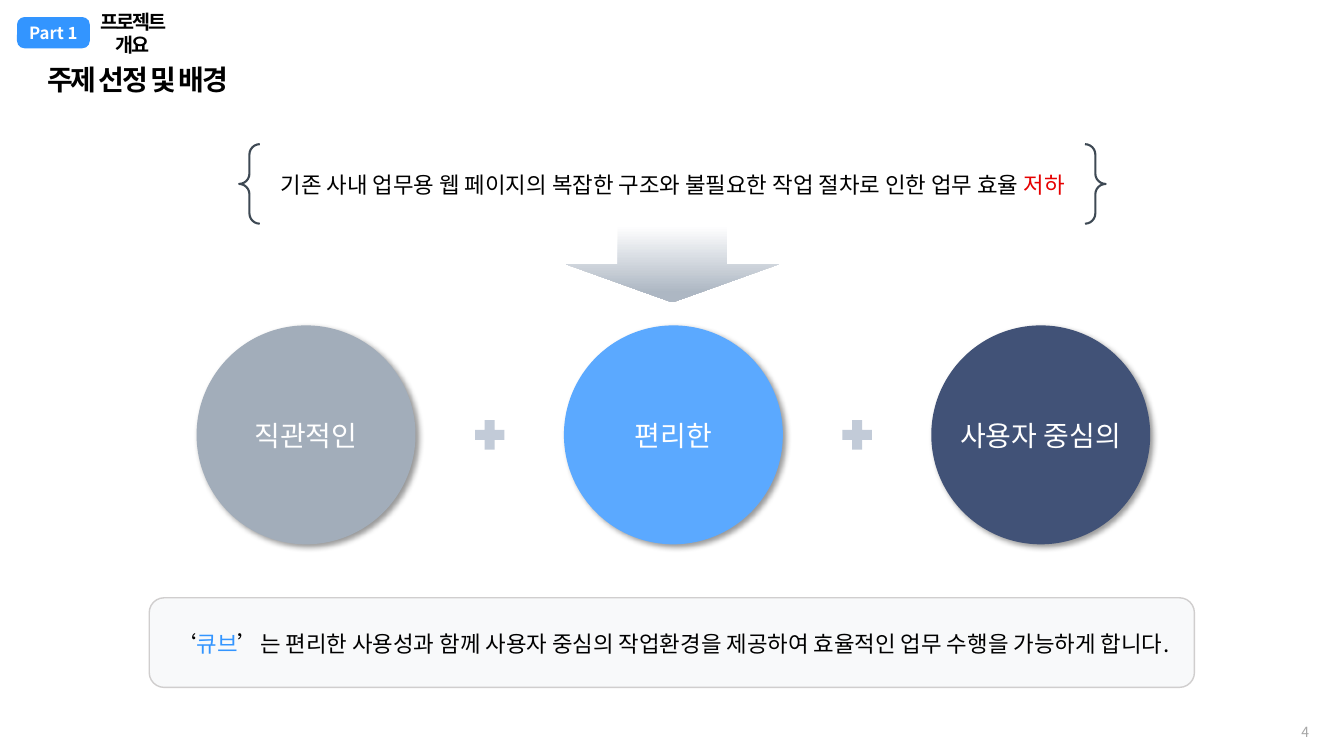
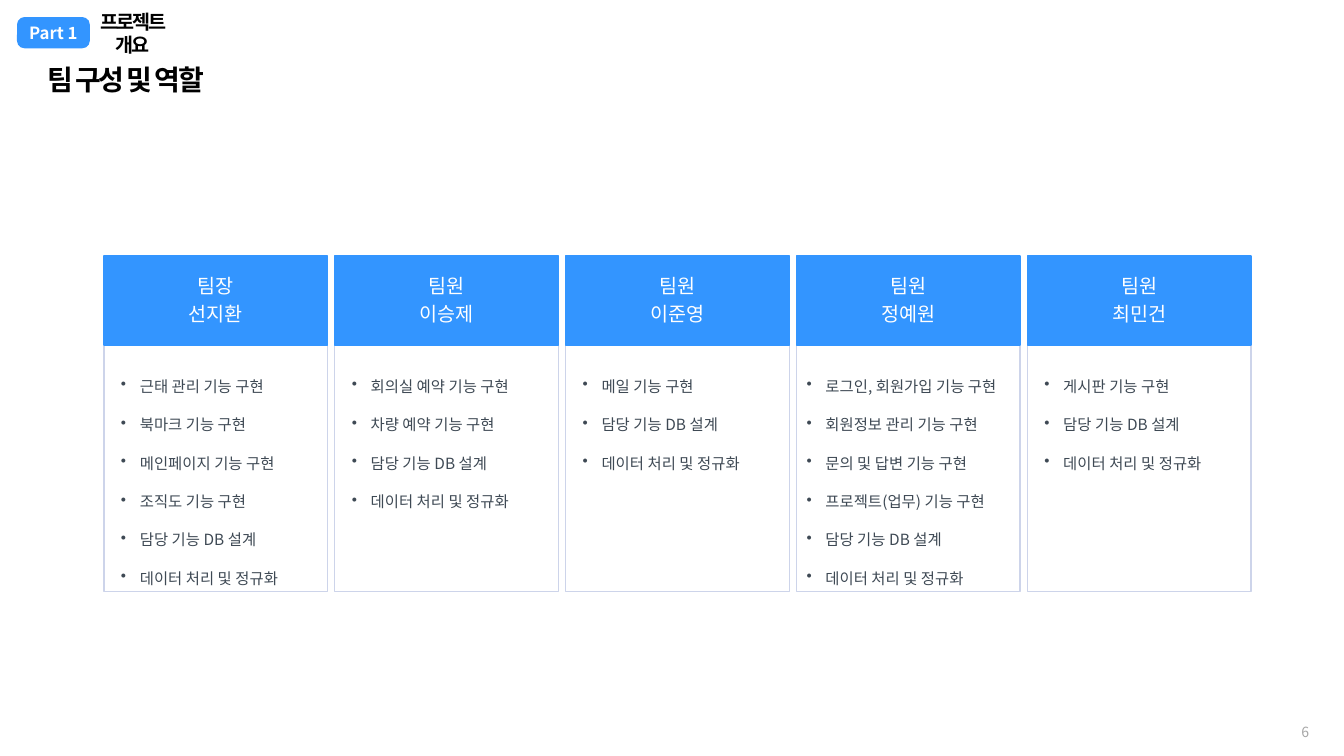
from lxml.etree import SubElement
from pptx import Presentation
from pptx.dml.color import RGBColor
from pptx.enum.shapes import MSO_SHAPE
from pptx.enum.text import MSO_ANCHOR, PP_ALIGN
from pptx.oxml.ns import qn
from pptx.util import Pt

FONT = "Noto Sans CJK KR"
BLACK = RGBColor(0x00, 0x00, 0x00)
WHITE = RGBColor(0xFF, 0xFF, 0xFF)
BLUE = RGBColor(0x33, 0x95, 0xFF)
LIGHT_BLUE = RGBColor(0x5B, 0xA9, 0xFF)
NAVY = RGBColor(0x41, 0x52, 0x77)
GRAY = RGBColor(0xA2, 0xAD, 0xBA)
ARROW_GRAY = RGBColor(0xAD, 0xB7, 0xC3)
PLUS_GRAY = RGBColor(0xC2, 0xCB, 0xD8)
SLATE = RGBColor(0x3E, 0x49, 0x54)
RED = RGBColor(0xE6, 0x00, 0x00)
PANEL = RGBColor(0xF8, 0xF9, 0xFA)
PANEL_LINE = RGBColor(0xD0, 0xCE, 0xCE)
CARD_LINE = RGBColor(0xCD, 0xD4, 0xEA)
PAGE_GRAY = RGBColor(0xA6, 0xA6, 0xA6)


def add_shape(s, kind, x, y, w, h, fill=None, line=None, weight=1, adj=()):
    sp = s.shapes.add_shape(kind, Pt(x), Pt(y), Pt(w), Pt(h))
    sp.shadow.inherit = False
    for i, value in enumerate(adj):
        sp.adjustments[i] = value
    if fill is None:
        sp.fill.background()
    else:
        sp.fill.solid()
        sp.fill.fore_color.rgb = fill
    if line is None:
        sp.line.fill.background()
    else:
        sp.line.color.rgb = line
        sp.line.width = Pt(weight)
    return sp


def add_text(sp, text, size=16, color=BLACK, bold=False, align=PP_ALIGN.CENTER,
             anchor=MSO_ANCHOR.MIDDLE, wrap=True, inset=3.6, tracking=0,
             spacing=None, before=0, bullet=False, accent=None, accent_color=None):
    tf = sp.text_frame
    tf.word_wrap = wrap
    tf.vertical_anchor = anchor
    tf.margin_left = tf.margin_right = tf.margin_top = tf.margin_bottom = Pt(inset)
    for i, row in enumerate(text.split("\n")):
        p = tf.add_paragraph() if i else tf.paragraphs[0]
        p.alignment = align
        if bullet:
            pPr = p._p.get_or_add_pPr()
            pPr.set("marL", str(Pt(13.5)))
            pPr.set("indent", str(-Pt(13.5)))
            SubElement(pPr, qn("a:buChar")).set("char", "•")
        if spacing:
            p.line_spacing = spacing
        if i:
            p.space_before = Pt(before)
        for part in row.partition(accent) if accent else [row]:
            if part:
                r = p.add_run()
                r.text = part
                r.font.size = Pt(size)
                r.font.bold = bold
                r.font.name = FONT
                r.font.color.rgb = accent_color if part == accent else color
                rPr = r._r.get_or_add_rPr()
                SubElement(rPr, qn("a:ea")).set("typeface", FONT)
                if tracking:
                    rPr.set("spc", str(int(tracking * 100)))


prs = Presentation()
prs.slide_width, prs.slide_height = Pt(960), Pt(540)

slides = []
for title, page in [("주제 선정 및 배경", "4"), ("팀 구성 및 역할", "6")]:
    s = prs.slides.add_slide(prs.slide_layouts[6])
    slides.append(s)
    badge = add_shape(s, MSO_SHAPE.ROUNDED_RECTANGLE, 12.2, 12.2, 52, 22.3, BLUE, adj=[0.24])
    add_text(badge, "Part 1", size=12, color=WHITE, bold=True, wrap=False)
    sp = s.shapes.add_textbox(Pt(66), Pt(12.2), Pt(58), Pt(23))
    add_text(sp, "프로젝트 개요", size=14, bold=True, tracking=-1.5)
    sp = s.shapes.add_textbox(Pt(30.2), Pt(41.8), Pt(293), Pt(29.5))
    add_text(sp, title, size=20, bold=True, align=PP_ALIGN.LEFT, tracking=-1.5)
    sp = s.shapes.add_textbox(Pt(925.2), Pt(513.4), Pt(14.4), Pt(18.7))
    add_text(sp, page, size=10, color=PAGE_GRAY, wrap=False)

s = slides[0]
arrow = add_shape(s, MSO_SHAPE.DOWN_ARROW, 404, 161.3, 152.6, 54.7, WHITE, adj=[0.51, 0.5])
arrow.fill.gradient()
arrow.fill.gradient_angle = 270
for stop, position, color in zip(arrow.fill.gradient_stops, (0, 0.87), (WHITE, ARROW_GRAY)):
    stop.position = position
    stop.color.rgb = color

add_shape(s, MSO_SHAPE.DOUBLE_BRACE, 170.8, 103, 619, 56.8, line=SLATE, weight=1.5, adj=[0.13])
sp = s.shapes.add_textbox(Pt(193.7), Pt(119.5), Pt(573.8), Pt(24.5))
add_text(sp, "기존 사내 업무용 웹 페이지의 복잡한 구조와 불필요한 작업 절차로 인한 업무 효율 저하",
         accent="저하", accent_color=RED)

DIAMETER, STEP, PLUS = 156.4, 262.4, 21
circles = [("직관적인", GRAY), ("편리한", LIGHT_BLUE), ("사용자 중심의", NAVY)]
for i, (label, color) in enumerate(circles):
    x, y = 140.4 + i * STEP, 232.4
    circle = add_shape(s, MSO_SHAPE.OVAL, x, y, DIAMETER, DIAMETER, color)
    add_text(circle, label, size=20, color=WHITE, wrap=False)
    effects = circle._element.spPr.find(qn("a:effectLst"))
    shadow = SubElement(effects, qn("a:outerShdw"), blurRad=str(Pt(4)), dist=str(Pt(3)),
                        dir="2700000", algn="tl", rotWithShape="0")
    tint = SubElement(shadow, qn("a:srgbClr"), val=str(BLACK))
    SubElement(tint, qn("a:alpha"), val="40000")
    if i < len(circles) - 1:
        add_shape(s, MSO_SHAPE.CROSS, x + (DIAMETER + STEP - PLUS) / 2,
                  y + (DIAMETER - PLUS) / 2, PLUS, PLUS, PLUS_GRAY, adj=[0.33])

add_shape(s, MSO_SHAPE.ROUNDED_RECTANGLE, 106.6, 427, 746.6, 64, PANEL, PANEL_LINE)
sp = s.shapes.add_textbox(Pt(113.8), Pt(447.1), Pt(732.2), Pt(24.5))
add_text(sp, "‘큐브’는 편리한 사용성과 함께 사용자 중심의 작업환경을 제공하여 효율적인 업무 수행을 가능하게 합니다.",
         accent="큐브", accent_color=BLUE)

s = slides[1]
COMMON = ["담당 기능 DB 설계", "데이터 처리 및 정규화"]
members = [
    ("팀장", "선지환", ["근태 관리 기능 구현", "북마크 기능 구현", "메인페이지 기능 구현", "조직도 기능 구현"], 8.6),
    ("팀원", "이승제", ["회의실 예약 기능 구현", "차량 예약 기능 구현"], 8.6),
    ("팀원", "이준영", ["메일 기능 구현"], 8.6),
    ("팀원", "정예원", ["로그인, 회원가입 기능 구현", "회원정보 관리 기능 구현", "문의 및 답변 기능 구현",
                     "프로젝트(업무) 기능 구현"], 3.6),
    ("팀원", "최민건", ["게시판 기능 구현"], 8.6),
]
for i, (role, name, tasks, indent) in enumerate(members):
    x = 74.2 + i * 164.9
    add_shape(s, MSO_SHAPE.RECTANGLE, x, 246.8, 159.8, 175.7, WHITE, CARD_LINE)
    add_shape(s, MSO_SHAPE.RECTANGLE, x, 183, 159.8, 63.6, BLUE, BLUE)
    sp = s.shapes.add_textbox(Pt(x + 3.9), Pt(192.2), Pt(152), Pt(46))
    add_text(sp, f"{role}\n{name}", size=14, color=WHITE, inset=4.3, spacing=0.9, before=5)
    sp = s.shapes.add_textbox(Pt(x + indent), Pt(252.5), Pt(152), Pt(170))
    add_text(sp, "\n".join(tasks + COMMON), size=11, color=SLATE, align=PP_ALIGN.LEFT,
             anchor=MSO_ANCHOR.TOP, spacing=2.0, before=1, bullet=True)

prs.save("out.pptx")
